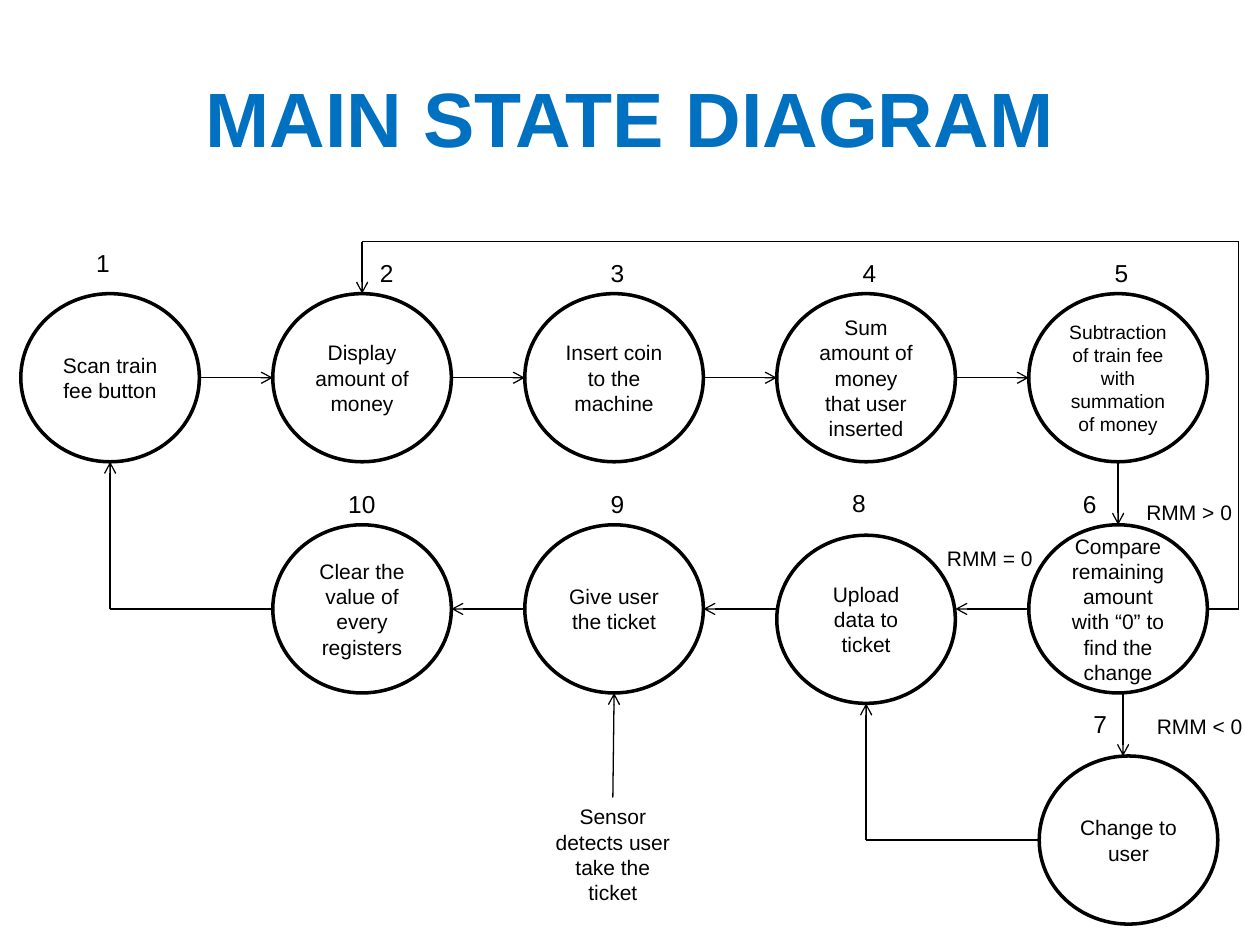
import pptx
import pptx.dml.color
import pptx.enum.shapes
import pptx.enum.text
import pptx.oxml
import pptx.oxml.ns
import pptx.util
from pptx.util import Cm

DIAMETER_X, DIAMETER_Y = 3.6, 3.39
PITCH_X, PITCH_Y = 5.08, 4.66
BLACK, WHITE, BLUE = "000000", "FFFFFF", "0070C0"

STATES = [
    # number, text, column, row, (shift x, y), (number x, y), size
]
STATES = {
    "1": ("Scan train fee button", 0, 0, (0, 0), (1.27, -1.04)),
    "2": ("Display amount of money", 1, 0, (0, 0), (1.91, -0.84)),
    "3": ("Insert coin to the machine", 2, 0, (0, 0), (1.48, -0.84)),
    "4": ("Sum amount of money that user inserted", 3, 0, (0, 0), (1.48, -0.84)),
    "5": ("Subtraction of train fee with summation of money", 4, 0, (0, 0), (1.48, -0.84)),
    "6": ("Compare remaining amount with “0” to find the change", 4, 1, (0, 0), (0.84, -0.84)),
    "7": ("Change to user", 4, 2, (0.21, 0), (0.84, -1.07)),
    "8": ("Upload data to ticket", 3, 1, (0, 0.21), (1.27, -1.07)),
    "9": ("Give user the ticket", 2, 1, (0, 0), (1.48, -0.84)),
    "10": ("Clear the value of every registers", 1, 1, (0, 0), (1.27, -0.84)),
}


def color(value):
    """Turn a hex string into a colour."""
    return pptx.dml.color.RGBColor.from_string(value)


def write(tf, text, size=12, fill=BLACK, bold=False, align="LEFT", anchor="TOP"):
    """Write one formatted paragraph into a text frame."""
    tf.word_wrap = True
    tf.vertical_anchor = getattr(pptx.enum.text.MSO_ANCHOR, anchor)
    p = tf.paragraphs[0]
    p.alignment = getattr(pptx.enum.text.PP_ALIGN, align)
    r = p.add_run()
    r.text = text
    r.font.name = "Arial"
    r.font.size = pptx.util.Pt(size)
    r.font.bold = bold
    r.font.color.rgb = color(fill)


def add_text(s, box, text, **style):
    """Add a text box at the given left, top, width and height."""
    sp = s.shapes.add_textbox(*map(Cm, box))
    write(sp.text_frame, text, **style)
    return sp


def add_path(s, points, arrow=True):
    """Join points with straight lines and return the first of them."""
    lines = []
    for start, end in zip(points, points[1:]):
        sp = s.shapes.add_connector(
            pptx.enum.shapes.MSO_CONNECTOR.STRAIGHT, *map(Cm, start + end))
        sp.line.color.rgb = color(BLACK)
        sp.line.width = pptx.util.Pt(0.75)
        pptx.oxml.ns.qn("a:effectLst")
        sp._element.spPr.append(pptx.oxml.parse_xml(
            "<a:effectLst %s/>" % pptx.oxml.ns.nsdecls("a")))
        lines.append(sp)
    if arrow:
        lines[-1].line._get_or_add_ln().append(pptx.oxml.parse_xml(
            '<a:tailEnd %s type="arrow"/>' % pptx.oxml.ns.nsdecls("a")))
    return lines[0]


def add_states(s, left, top):
    """Add the numbered circles on their grid."""
    for number, (text, col, row, shift, offset) in STATES.items():
        x = left + col * PITCH_X + shift[0]
        y = top + row * PITCH_Y + shift[1]
        sp = s.shapes.add_shape(
            pptx.enum.shapes.MSO_SHAPE.OVAL, *map(Cm, (x, y, DIAMETER_X, DIAMETER_Y)))
        sp.shadow.inherit = False
        sp.fill.solid()
        sp.fill.fore_color.rgb = color(WHITE)
        sp.line.color.rgb = color(BLACK)
        sp.line.width = pptx.util.Pt(2)
        size = 11 if number == "5" else 12
        write(sp.text_frame, text, size=size, align="CENTER", anchor="MIDDLE")
        width = 0.64 if len(number) == 1 else 1.07
        add_text(s, (x + offset[0], y + offset[1], width, 0.86), number, size=14)


def add_transitions(s, left, top):
    """Add the arrows between the circles."""
    xs = [left + DIAMETER_X / 2 + col * PITCH_X for col in range(5)]
    ys = [top + DIAMETER_Y / 2 + row * PITCH_Y for row in range(3)]
    rx, ry = DIAMETER_X / 2, DIAMETER_Y / 2
    for a, b in zip(xs, xs[1:]):
        add_path(s, [(a + rx, ys[0]), (b - rx, ys[0])])
    for a, b in zip(xs[1:], xs[2:]):
        add_path(s, [(b - rx, ys[1]), (a + rx, ys[1])])
    add_path(s, [(xs[4], ys[0] + ry), (xs[4], ys[1] - ry)])
    add_path(s, [(xs[4] + 0.1, ys[1] + ry), (xs[4] + 0.1, ys[2] - ry)])
    right, above = left + 24.55, top - 1.05
    add_path(s, [(xs[4] + rx, ys[1]), (right, ys[1]), (right, above),
                 (xs[1], above), (xs[1], ys[0] - ry)])
    add_path(s, [(xs[4] - rx + 0.21, ys[2]), (xs[3], ys[2]), (xs[3], ys[1] + ry + 0.21)])
    add_path(s, [(xs[1] - rx, ys[1]), (xs[0], ys[1]), (xs[0], ys[0] + ry)])
    sensor = add_text(s, (left + 10.45, top + 10.16, 2.97, 2.31),
                      "Sensor detects user take the ticket", align="CENTER")
    signal = add_path(s, [(xs[2], top + 10.16), (xs[2], ys[1] + ry)])
    signal.begin_connect(sensor, 0)


def add_conditions(s, left, top):
    """Add the conditions beside the arrows that leave the comparison."""
    for text, x, y in (("RMM > 0", 22.44, 4.03), ("RMM < 0", 22.65, 8.33),
                       ("RMM = 0", 18.42, 4.95)):
        add_text(s, (left + x, top + y, 2.44, 0.76), text)


def main():
    """Build the slide and save it."""
    prs = pptx.Presentation()
    prs.slide_width, prs.slide_height = Cm(25.4), Cm(19.05)
    s = prs.slides.add_slide(prs.slide_layouts[6])
    add_text(s, (1.27, 0.76, 22.86, 3.18), "MAIN STATE DIAGRAM", size=44,
             fill=BLUE, bold=True, align="CENTER", anchor="MIDDLE")
    for add_region in (add_states, add_transitions, add_conditions):
        add_region(s, 0.42, 5.92)
    prs.save("out.pptx")


if __name__ == "__main__":
    main()
